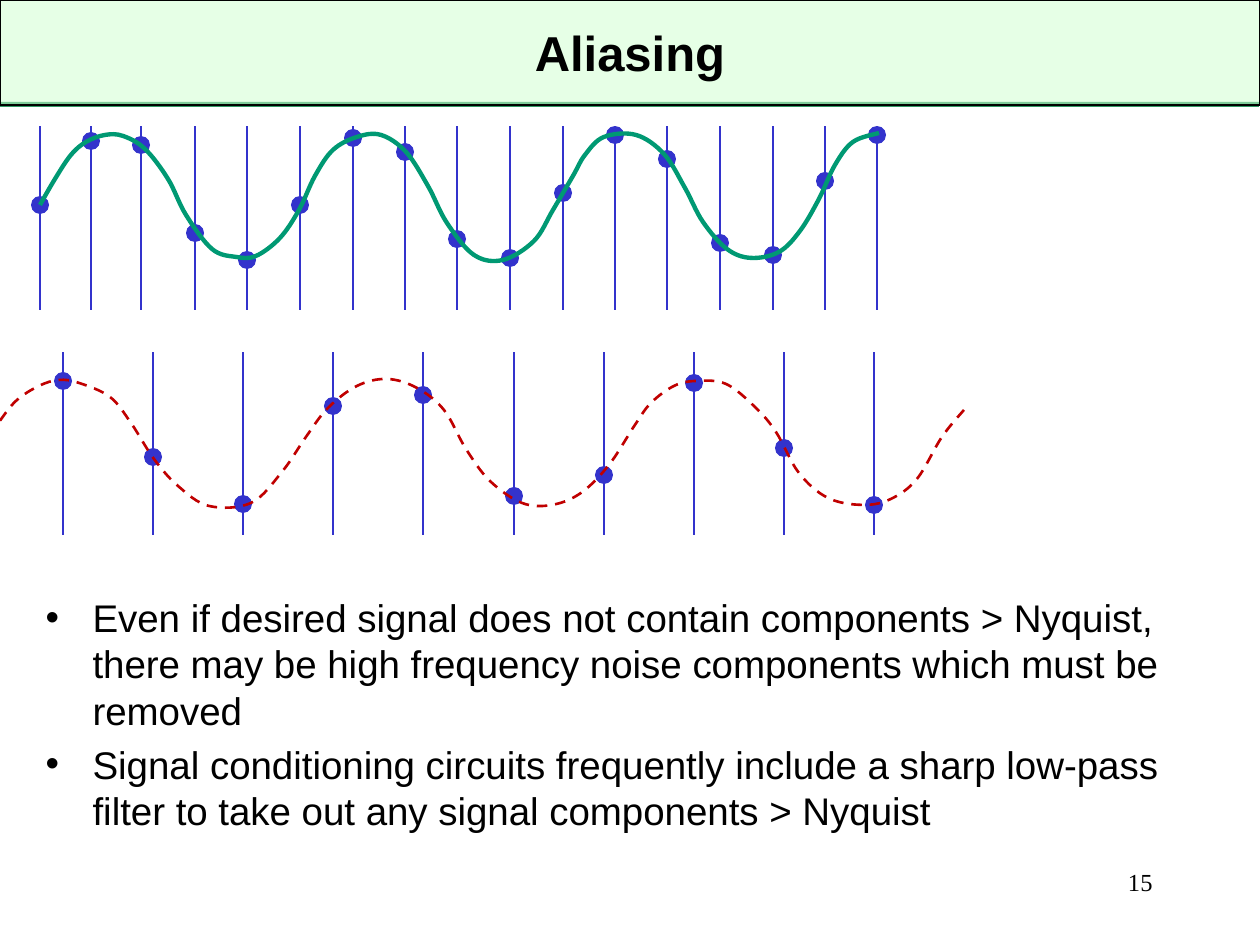
import lxml.etree
import pptx
import pptx.dml.color
import pptx.enum.dml
import pptx.enum.shapes
import pptx.enum.text
import pptx.oxml.ns
import pptx.util

SCALE = 914400 / 126
HUES = {"ink": "000000", "mint": "CCFFCC", "leaf": "339966", "blue": "3333CC",
        "green": "009973", "red": "C00000"}
ALIGN = pptx.enum.text.PP_ALIGN
ANCHOR = pptx.enum.text.MSO_ANCHOR
KIND = pptx.enum.shapes.MSO_SHAPE
DASH = pptx.enum.dml.MSO_LINE.DASH


def px(val):
    return pptx.util.Emu(round(val * SCALE))


def hue(name):
    return pptx.dml.color.RGBColor.from_string(HUES[name])


def sub(node, tag, **attrs):
    return lxml.etree.SubElement(node, pptx.oxml.ns.qn(tag), attrs)


def assign(item, style):
    for key, val in style.items():
        setattr(item, key, val)


class Pen:
    def __init__(self, slide):
        self.slide = slide
        self.shapes = slide.shapes
        self.fonts = {
            "title": {"name": "Arial", "size": pptx.util.Pt(28), "bold": True},
            "body": {"name": "Arial", "size": pptx.util.Pt(22), "bold": False},
            "page": {"name": "Times New Roman", "size": pptx.util.Pt(14), "bold": False},
        }

    def group(self):
        self.shapes = self.slide.shapes.add_group_shape().shapes

    def leave(self):
        self.shapes = self.slide.shapes

    def place(self, item, box):
        assign(item, dict(zip(("left", "top", "width", "height"), map(px, box))))

    def stroke(self, item, color, width, dash=None):
        item.line.color.rgb = hue(color)
        assign(item.line, {"width": pptx.util.Pt(width), "dash_style": dash})

    def shape(self, kind, box, fill, edge=None, alpha=None):
        item = self.shapes.add_shape(kind, *map(px, box))
        item.shadow.inherit = False
        item.fill.solid()
        item.fill.fore_color.rgb = hue(fill)
        if alpha:
            tint = item.fill._xPr.find(".//" + pptx.oxml.ns.qn("a:srgbClr"))
            sub(tint, "a:alpha", val=str(alpha * 1000))
        if edge:
            self.stroke(item, edge, 0.75)
        else:
            item.line.fill.background()

    def line(self, x, low, high):
        item = self.shapes.add_connector(
            pptx.enum.shapes.MSO_CONNECTOR.STRAIGHT, px(x), px(low), px(x), px(high))
        self.stroke(item, "blue", 1)
        sub(item._element.spPr, "a:effectLst")

    def dot(self, x, y):
        self.shape(KIND.OVAL, (x - 9, y - 9, 18, 18), "blue")

    def curve(self, knots, color, width, dash=None):
        knots = [(px(x), px(y)) for x, y in knots]
        form = self.shapes.build_freeform(*knots[0], scale=1.0)
        form.add_line_segments(knots[1:], close=False)
        item = form.convert_to_shape()
        item.shadow.inherit = False
        item.fill.background()
        self.stroke(item, color, width, dash)
        left, top = (min(axis) for axis in zip(*knots))
        spots = [(x - left, y - top) for x, y in knots]
        spots = [spots[0], *spots, spots[-1]]
        steps = item._element.findall(".//" + pptx.oxml.ns.qn("a:lnTo"))
        for step, a, b, c, d in zip(steps, spots, spots[1:], spots[2:], spots[3:]):
            step.tag = pptx.oxml.ns.qn("a:cubicBezTo")
            step.clear()
            first = [q + (r - p) / 6 for p, q, r in zip(a, b, c)]
            second = [q - (r - p) / 6 for p, q, r in zip(b, c, d)]
            for x, y in (first, second, c):
                sub(step, "a:pt", x=str(round(x)), y=str(round(y)))

    def text(self, item, box, rows, font, align, anchor, bullet=False):
        self.place(item, box)
        self.slide.shapes._spTree.append(item._element)
        frame = item.text_frame
        assign(frame, {"word_wrap": True, "vertical_anchor": anchor,
                       "auto_size": pptx.enum.text.MSO_AUTO_SIZE.NONE})
        frame.text = "\n".join(rows)
        for num, para in enumerate(frame.paragraphs):
            if bullet:
                props = para._p.get_or_add_pPr()
                props.set("marL", str(px(47)))
                props.set("indent", str(px(-47)))
                sub(props, "a:buFont", typeface="Arial")
                sub(props, "a:buChar", char="•")
            assign(para, {"alignment": align,
                          "space_before": pptx.util.Pt(4.4 if num else 0)})
            assign(para.font, self.fonts[font])
            para.font.color.rgb = hue("ink")

    def title(self, box, words):
        self.text(self.slide.shapes.title, box, [words], "title",
                  ALIGN.CENTER, ANCHOR.MIDDLE)

    def body(self, box, rows):
        self.text(self.slide.placeholders[1], box, rows, "body",
                  ALIGN.LEFT, ANCHOR.TOP, True)

    def page(self, box, num):
        item = self.shapes.add_textbox(*map(px, box))
        self.text(item, box, [num], "page", ALIGN.RIGHT, ANCHOR.TOP)

    def samples(self, cols, rows, low, high):
        for x in cols:
            self.line(x, low, high)
        for x, y in zip(cols, rows):
            self.dot(x, y)


FAST = [
    (40, 205), (55, 179), (71, 155), (86, 142), (105, 135), (123, 136), (145, 149),
    (168, 179), (186, 215), (212, 249), (236, 257), (256, 256), (280, 238), (299, 210),
    (315, 176), (333, 150), (357, 137), (381, 135), (406, 152), (428, 186), (447, 223),
    (474, 255), (503, 260), (534, 241), (553, 210), (573, 176), (585, 155), (604, 137),
    (636, 135), (664, 154), (685, 188), (703, 222), (727, 249), (751, 258), (779, 252),
    (800, 231), (819, 199), (835, 165), (853, 142), (879, 133)]
SLOW = [
    (-21, 451), (-3, 425), (16, 401), (39, 386), (59, 380), (79, 383), (110, 397),
    (131, 423), (154, 459), (178, 486), (209, 506), (251, 503), (282, 472), (306, 437),
    (328, 408), (357, 386), (387, 379), (417, 388), (444, 410), (466, 449), (490, 481),
    (522, 503), (552, 505), (581, 493), (609, 465), (635, 425), (651, 403), (674, 386),
    (696, 381), (726, 384), (755, 407), (776, 432), (799, 473), (828, 498), (863, 505),
    (891, 499), (917, 479), (942, 437), (964, 410)]
FAST_DOTS = [205, 141, 145, 233, 260, 205, 138, 152, 239, 258, 193, 135, 159, 243,
             255, 181, 135]
SLOW_DOTS = [381, 457, 504, 406, 395, 496, 475, 383, 448, 505]


def main():
    deck = pptx.Presentation()
    assign(deck, {"slide_width": px(1260), "slide_height": px(945)})
    pen = Pen(deck.slides.add_slide(deck.slide_layouts[1]))

    pen.shape(KIND.RECTANGLE, (0, 102, 1259, 5), "leaf")
    pen.shape(KIND.RECTANGLE, (0, 0, 1260, 105), "mint", "ink", 49)
    pen.title((63, 10, 1134, 84), "Aliasing")
    pen.body((33, 588, 1187, 73), [
        "Even if desired signal does not contain components > Nyquist, there may be "
        "high frequency noise components which must be removed",
        "Signal conditioning circuits frequently include a sharp low-pass filter to "
        "take out any signal components > Nyquist"])
    pen.page((903, 861, 262, 63), "15")

    pen.group()
    pen.samples([63 + round(num * 811 / 9) for num in range(10)], SLOW_DOTS, 535, 352)
    pen.leave()
    pen.curve(SLOW, "red", 1.5, DASH)

    pen.group()
    cols = [40, 91, 141] + [195 + round(num * 52.5) for num in range(14)]
    pen.samples(cols, FAST_DOTS, 310, 126)
    pen.curve(FAST, "green", 2.5)
    pen.leave()
    deck.save("out.pptx")


if __name__ == "__main__":
    main()
